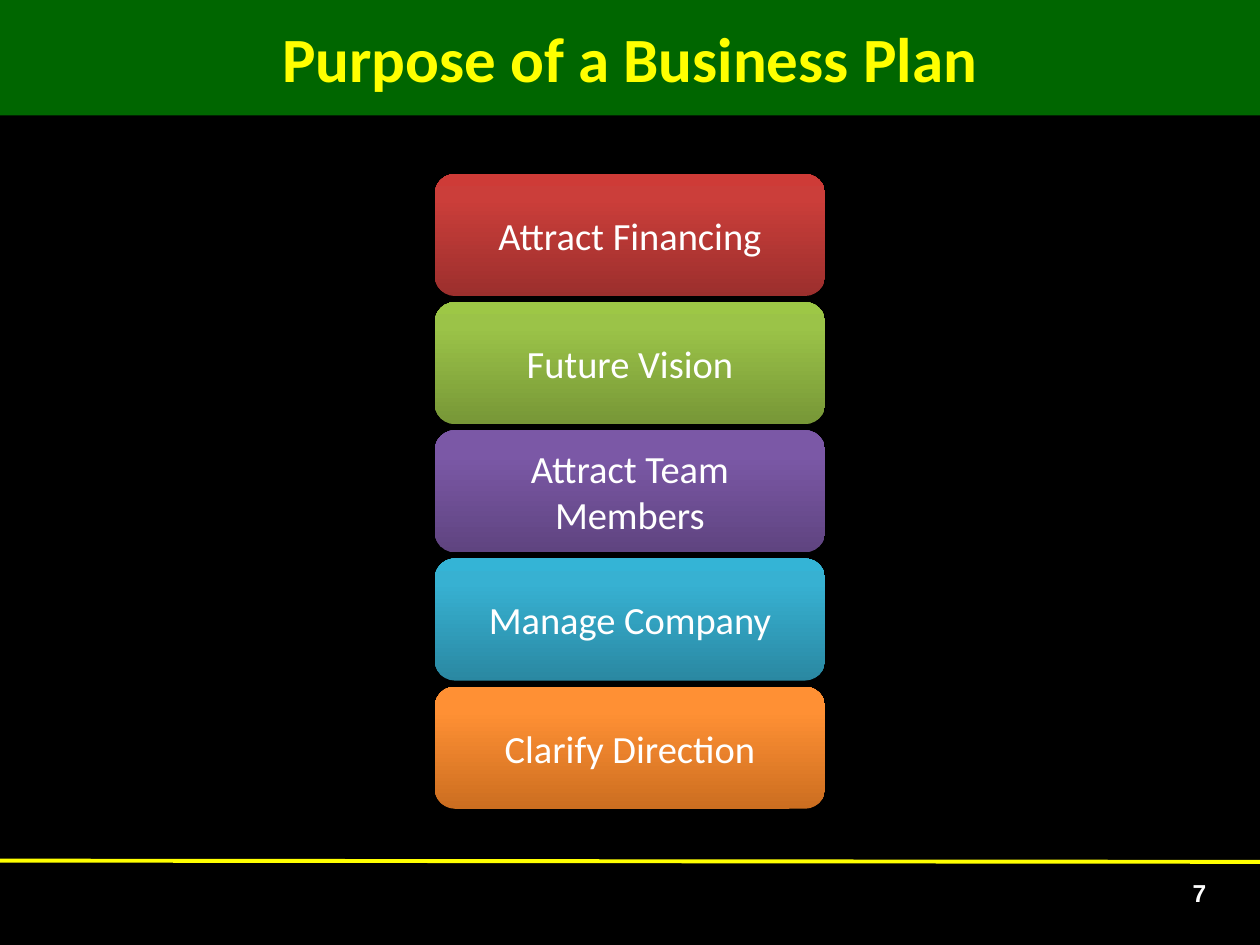
from copy import deepcopy

from lxml.etree import SubElement
from pptx import Presentation
from pptx.dml.color import RGBColor
from pptx.enum.shapes import MSO_CONNECTOR, MSO_SHAPE
from pptx.enum.text import MSO_ANCHOR, MSO_AUTO_SIZE, PP_ALIGN
from pptx.oxml.ns import qn
from pptx.util import Pt

BOXES = [
    ("Attract Financing", ("9C2F2D", "CB3E3A", "CE3B37")),
    ("Future Vision", ("779737", "9BC348", "9DC746")),
    ("Attract Team Members", ("5F4480", "7B58A6", "7C57A8")),
    ("Manage Company", ("2A88A2", "37B1D2", "34B4D6")),
    ("Clarify Direction", ("CC6E20", "FF9034", "FF9136")),
]
TOP, PITCH = 99.4, 73.25


def rgb(color):
    return RGBColor.from_string(color)


class Deck:
    """Style and current slide, with a method for each kind of element."""

    font = "Calibri"
    white, yellow, green, black = "FFFFFF", "FFFF00", "006600", "000000"
    stops = (0, 0.8, 1)

    def __init__(self, prs):
        self.s = prs.slides.add_slide(prs.slide_layouts[5])
        fill = self.s.background.fill
        fill.solid()
        fill.fore_color.rgb = rgb(self.black)

    def add_text(self, sp, text, size, color, bold=False, font=None, inset=7.2):
        tf = sp.text_frame
        tf.word_wrap = True
        tf.auto_size = MSO_AUTO_SIZE.NONE
        tf.vertical_anchor = MSO_ANCHOR.MIDDLE
        tf.margin_left = tf.margin_right = Pt(inset)
        tf.margin_top = tf.margin_bottom = Pt(3.6)
        p = tf.paragraphs[0]
        p.alignment = PP_ALIGN.CENTER
        r = p.add_run()
        r.text = text
        r.font.name = font or self.font
        r.font.size = Pt(size)
        r.font.bold = bold
        r.font.color.rgb = rgb(color)

    def title(self, text, x, y, w, h):
        sp = self.s.shapes.title
        sp.left, sp.top, sp.width, sp.height = Pt(x), Pt(y), Pt(w), Pt(h)
        sp.fill.solid()
        sp.fill.fore_color.rgb = rgb(self.green)
        self.add_text(sp, text, 36, self.yellow, bold=True)

    def line(self, x1, y1, x2, y2):
        cx = self.s.shapes.add_connector(
            MSO_CONNECTOR.STRAIGHT, Pt(x1), Pt(y1), Pt(x2), Pt(y2))
        cx.line.color.rgb = rgb(self.yellow)
        cx.line.width = Pt(2.25)
        SubElement(cx._element.spPr, qn("a:effectLst"))

    def number(self, text, x, y, w, h):
        sp = self.s.shapes.add_textbox(Pt(x), Pt(y), Pt(w), Pt(h))
        self.add_text(sp, text, 14, self.white, bold=True, font="Arial")

    def box(self, text, colors, x, y, w, h):
        sp = self.s.shapes.add_shape(
            MSO_SHAPE.ROUNDED_RECTANGLE, Pt(x), Pt(y), Pt(w), Pt(h))
        sp.shadow.inherit = False
        sp.line.fill.background()
        sp.fill.gradient()
        sp.fill.gradient_angle = 90
        gs_list = sp._element.spPr.find(".//" + qn("a:gsLst"))
        gs_list.append(deepcopy(gs_list[-1]))
        for stop, position, color in zip(sp.fill.gradient_stops, self.stops, colors):
            stop.position = position
            stop.color.rgb = rgb(color)
        self.add_text(sp, text, 22, self.white, inset=10)


def main():
    prs = Presentation()
    prs.slide_width, prs.slide_height = Pt(720), Pt(540)
    deck = Deck(prs)
    deck.line(0, 491.8, 720, 492.5)
    deck.title("Purpose of a Business Plan", 0, 0, 720, 66)
    deck.number("7", 662.4, 492, 46, 36)
    for i, (text, colors) in enumerate(BOXES):
        deck.box(text, colors, 248.4, TOP + i * PITCH, 223.2, 69.8)
    prs.save("out.pptx")


if __name__ == "__main__":
    main()
